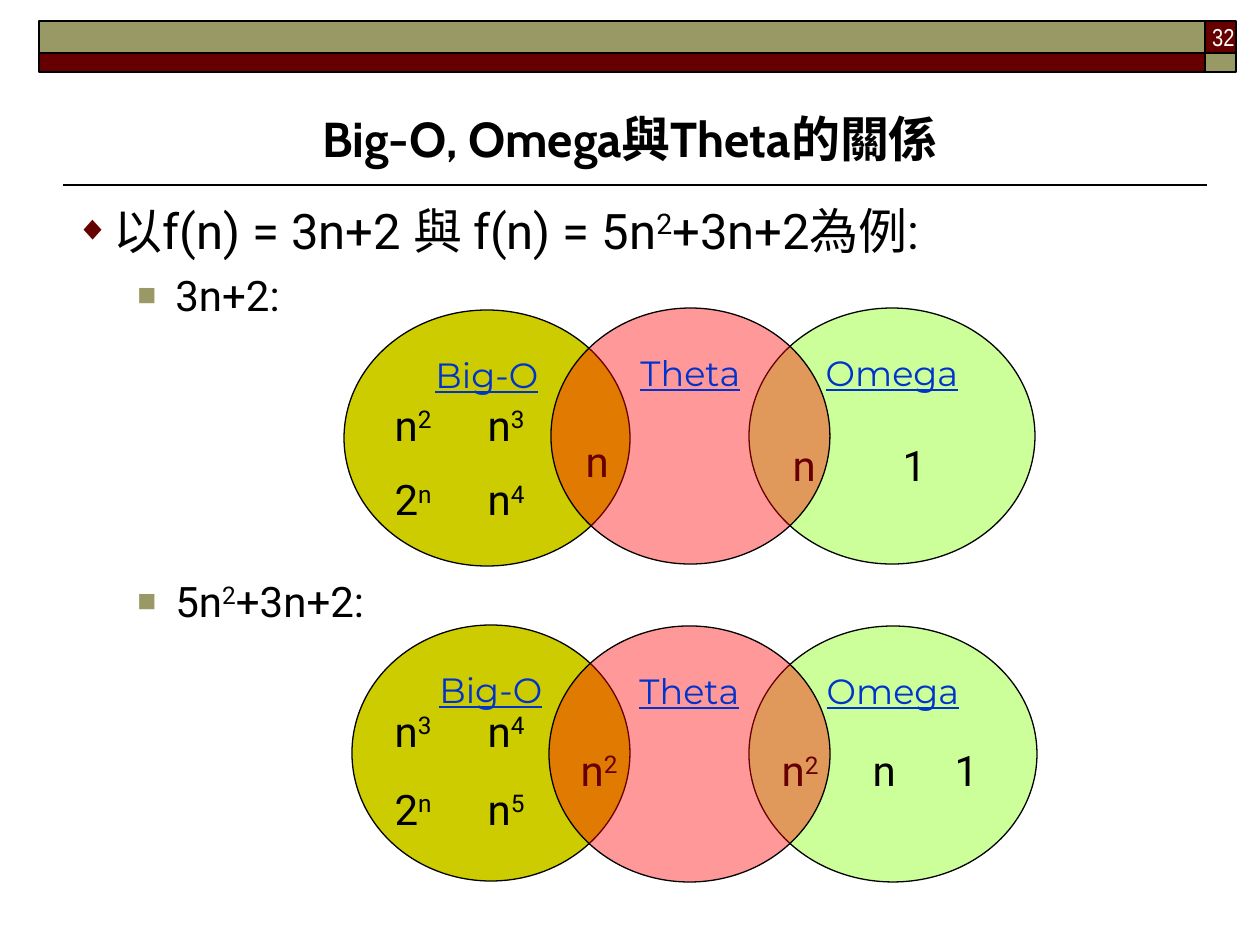
from lxml.etree import SubElement
from pptx import Presentation
from pptx.dml.color import RGBColor
from pptx.enum.shapes import MSO_CONNECTOR, MSO_SHAPE
from pptx.enum.text import MSO_ANCHOR, MSO_AUTO_SIZE, PP_ALIGN
from pptx.oxml.ns import qn
from pptx.util import Pt

SCALE = 914400 / 126
COLORS = {
    "black": "000000", "white": "FFFFFF", "maroon": "660000",
    "khaki": "999966", "olive": "CCCC00", "lime": "CCFF99",
    "red": "FF0000", "link": "0033CC",
}
PLAIN = "{2D5ABB26-0587-4C30-8999-92F81FD0307C}"


def px(n):
    return round(n * SCALE)


def place(box):
    return [px(n) for n in box]


def rgb(name):
    return RGBColor.from_string(COLORS[name])


def write(para, text, size=24, font="Roboto", color="black", bold=False,
          line=False, align=PP_ALIGN.LEFT, before=0):
    para.alignment = align
    para.space_before = Pt(before)
    for i, part in enumerate(text.split("^")):
        bits = [(part[:1], True), (part[1:], False)] if i else [(part, False)]
        for bit, raised in bits:
            if not bit:
                continue
            run = para.add_run()
            run.text = bit
            run.font.size = Pt(size)
            run.font.name = font
            run.font.color.rgb = rgb(color)
            run.font.bold = bold
            run.font.underline = line
            if raised:
                run.font._element.set("baseline", "30000")


def bullet(para, mark, color, size, left):
    props = para._p.get_or_add_pPr()
    props.set("marL", str(px(left)))
    props.set("indent", str(px(-38)))
    tint = SubElement(props, qn("a:buClr"))
    SubElement(tint, qn("a:srgbClr"), val=COLORS[color])
    SubElement(props, qn("a:buSzPct"), val=str(size * 1000))
    SubElement(props, qn("a:buFont"), typeface="Arial")
    SubElement(props, qn("a:buChar"), char=mark)


def shape(slide, kind, box, fill, width, alpha=None):
    item = slide.shapes.add_shape(kind, *place(box))
    item.shadow.inherit = False
    item.fill.solid()
    item.fill.fore_color.rgb = rgb(fill)
    item.line.color.rgb = rgb("black")
    item.line.width = Pt(width)
    if alpha:
        tint = item._element.spPr.find(qn("a:solidFill"))[0]
        SubElement(tint, qn("a:alpha"), val=str(alpha * 1000))
    return item


def oval(slide, name, box, fill, alpha=None):
    frame = shape(slide, MSO_SHAPE.OVAL, box, fill, 0.75, alpha).text_frame
    frame.vertical_anchor = MSO_ANCHOR.TOP
    write(frame.paragraphs[0], name, 20, "Montserrat", "link", line=True,
          align=PP_ALIGN.CENTER)


def grid(slide, spot, cols, rows, texts):
    box = (*spot, sum(cols), sum(rows))
    table = slide.shapes.add_table(len(rows), len(cols), *place(box)).table
    table.first_row = table.horz_banding = False
    table._tbl.tblPr.find(qn("a:tableStyleId")).text = PLAIN
    for col, width in zip(table.columns, cols):
        col.width = px(width)
    for row, height in zip(table.rows, rows):
        row.height = px(height)
    for r, line in enumerate(texts):
        for c, text in enumerate(line):
            cell = table.cell(r, c)
            props = cell._tc.get_or_add_tcPr()
            for side in ("L", "R", "T", "B"):
                edge = SubElement(props, qn("a:ln" + side))
                SubElement(edge, qn("a:noFill"))
            cell.fill.background()
            cell.vertical_anchor = MSO_ANCHOR.MIDDLE
            if text:
                write(cell.text_frame.paragraphs[0], text)
            else:
                table.cell(r - 1, c).merge(cell)


def label(slide, box):
    frame = slide.shapes.add_textbox(*place(box)).text_frame
    frame.word_wrap = True
    return frame


def header(slide):
    for box, fill in (
        ((1205, 21, 31, 32), "maroon"),
        ((39, 21, 1166, 32), "khaki"),
        ((39, 53, 1166, 19), "maroon"),
        ((1205, 53, 31, 19), "khaki"),
    ):
        shape(slide, MSO_SHAPE.RECTANGLE, box, fill, 1)
    rule = slide.shapes.add_connector(
        MSO_CONNECTOR.STRAIGHT, *place((63, 185, 1207, 185)))
    rule.line.color.rgb = rgb("black")
    rule.line.width = Pt(1)
    SubElement(rule._element.spPr, qn("a:effectLst"))


def heading(slide, text):
    title = slide.shapes.title
    title.left, title.top, title.width, title.height = place(
        (63, 73, 1134, 101))
    frame = title.text_frame
    frame.auto_size = MSO_AUTO_SIZE.NONE
    frame.vertical_anchor = MSO_ANCHOR.BOTTOM
    write(frame.paragraphs[0], text, 28, "Cabin", bold=True,
          align=PP_ALIGN.CENTER)


def body(slide):
    frame = label(slide, (63, 194, 1104, 704))
    para = frame.paragraphs[0]
    bullet(para, "◆", "maroon", 70, 38)
    write(para, "以f(n) = 3n+2 與 f(n) = 5n^2+3n+2為例:", 28)
    for text, gap in (("3n+2:", 6), ("5n^2+3n+2:", 146)):
        para = frame.add_paragraph()
        para.level = 1
        bullet(para, "■", "khaki", 75, 100)
        write(para, text, before=gap)


def venn(slide, ovals, upper, lower):
    left, right, mid = ovals
    oval(slide, "Big-O", left, "olive")
    grid(slide, *upper)
    oval(slide, "Omega", right, "lime")
    grid(slide, *lower)
    oval(slide, "Theta", mid, "red", 40)


def main():
    deck = Presentation()
    deck.slide_width, deck.slide_height = px(1260), px(945)
    slide = deck.slides.add_slide(deck.slide_layouts[5])
    header(slide)
    heading(slide, "Big-O, Omega與Theta的關係")
    body(slide)
    venn(
        slide,
        ((344, 310, 286, 256), (749, 308, 286, 256), (551, 308, 279, 256)),
        ((382, 389), (93, 98, 87), (76, 73),
         (("n^2", "n^3", "n"), ("2^n", "n^4", None))),
        ((780, 436), (110, 117), (63,), (("n", "1"),)),
    )
    venn(
        slide,
        ((352, 625, 278, 256), (749, 626, 288, 256), (549, 626, 281, 256)),
        ((382, 694), (93, 93, 93), (78, 78),
         (("n^3", "n^4", "n^2"), ("2^n", "n^5", None))),
        ((769, 741), (91, 82, 76), (63,), (("n^2", "n", "1"),)),
    )
    page = label(slide, (985, 16, 262, 40))
    write(page.paragraphs[0], "32", 14, "Arial Narrow", "white",
          align=PP_ALIGN.RIGHT)
    deck.save("out.pptx")


if __name__ == "__main__":
    main()
